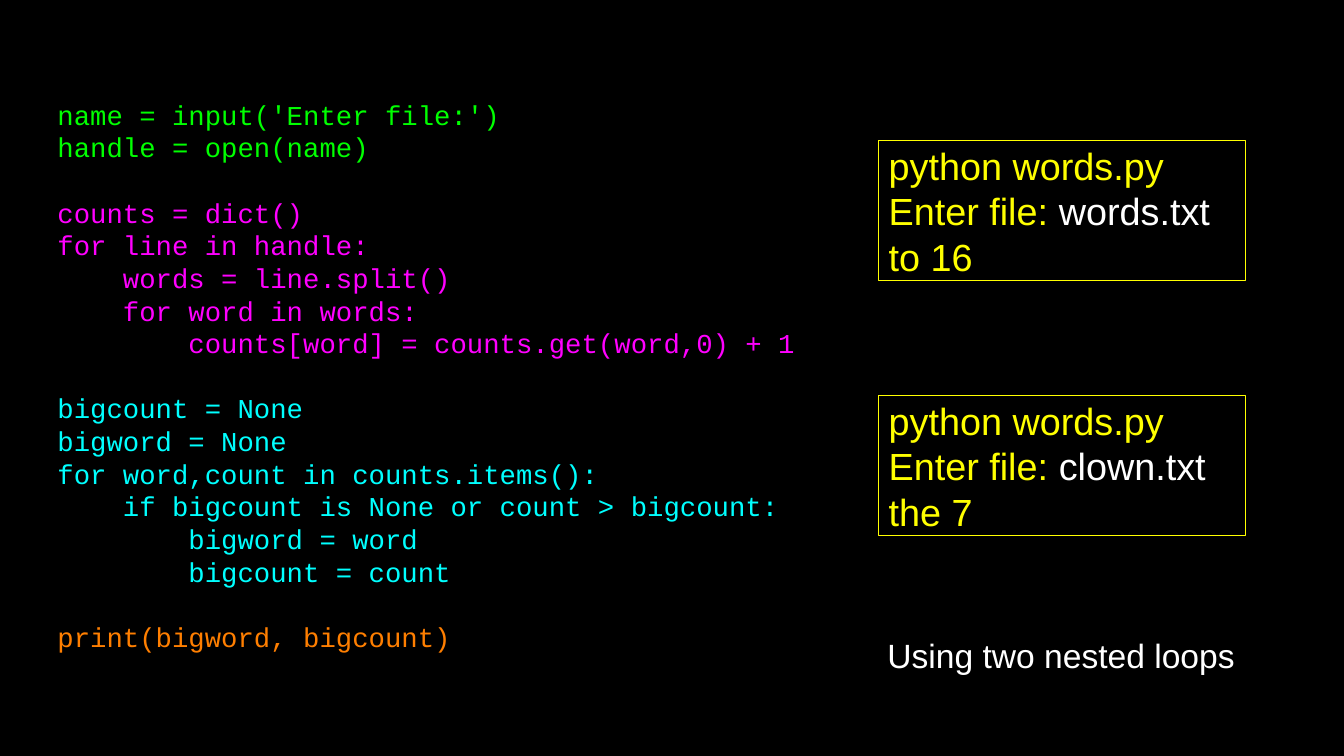
from pptx import Presentation
from pptx import util as u
from pptx.dml.color import RGBColor
from pptx.enum import shapes, text

BLACK, WHITE, YELLOW = "000000", "FFFFFF", "FFFF00"
CODE = [
    ("00FF00", ["name = input('Enter file:')",
                "handle = open(name)"]),
    ("FF00FF", ["counts = dict()",
                "for line in handle:",
                "    words = line.split()",
                "    for word in words:",
                "        counts[word] = counts.get(word,0) + 1"]),
    ("00FFFF", ["bigcount = None",
                "bigword = None",
                "for word,count in counts.items():",
                "    if bigcount is None or count > bigcount:",
                "        bigword = word",
                "        bigcount = count"]),
    ("FF7F00", ["print(bigword, bigcount)"]),
]
RUNS = [("words.txt", "to 16"), ("clown.txt", "the 7")]
CAPTION = "Using two nested loops"
CODE_PITCH, RUN_PITCH = u.Pt(31.1), u.Pt(43.3)
RUN_LEFT, RUN_TOP, RUN_STEP = 29.51, 4.72, 8.58


def rgb(value):
    """Return the colour for a hex string."""
    return RGBColor.from_string(value)


def add_run(p, words, font, size, color):
    """Append a formatted run to a paragraph."""
    r = p.add_run()
    r.text = words
    r.font.name, r.font.size = font, u.Pt(size)
    r.font.color.rgb = rgb(color)


def set_frame(tf, anchor, left=0):
    """Wrap a text frame, anchor it and clear all margins but the left."""
    tf.word_wrap = True
    tf.vertical_anchor = anchor
    tf.margin_left = u.Cm(left)
    tf.margin_top = tf.margin_right = tf.margin_bottom = 0


def next_paragraph(tf, first, pitch):
    """Return the first or a new left-aligned paragraph with fixed pitch."""
    p = tf.paragraphs[0] if first else tf.add_paragraph()
    p.alignment = text.PP_ALIGN.LEFT
    p.line_spacing = pitch
    return p


def add_code(s):
    """Add the program, one colour and one gap per section."""
    tf = s.shapes.add_textbox(u.Cm(1.93), u.Cm(2.39), u.Cm(25.63), u.Cm(20.45)).text_frame
    set_frame(tf, text.MSO_ANCHOR.MIDDLE)
    for section, (color, lines) in enumerate(CODE):
        for i, line in enumerate(lines):
            p = next_paragraph(tf, section == i == 0, CODE_PITCH)
            if section and i == 0:
                p.space_before = CODE_PITCH
            add_run(p, line, "Courier New", 26, color)


def add_sample_run(s, top, file_name, result):
    """Add an outlined box with one run of the program."""
    sp = s.shapes.add_shape(shapes.MSO_SHAPE.RECTANGLE, u.Cm(RUN_LEFT), u.Cm(top),
                            u.Cm(12.34), u.Cm(4.7))
    sp.shadow.inherit = False
    sp.fill.background()
    sp.line.color.rgb = rgb(YELLOW)
    sp.line.width = u.Pt(1)
    tf = sp.text_frame
    set_frame(tf, text.MSO_ANCHOR.MIDDLE, 0.35)
    lines = [[("python words.py", YELLOW)],
             [("Enter file: ", YELLOW), (file_name, WHITE)],
             [(result, YELLOW)]]
    for i, line in enumerate(lines):
        p = next_paragraph(tf, i == 0, RUN_PITCH)
        for words, color in line:
            add_run(p, words, "Arial", 36, color)


def main():
    """Build and save the slide."""
    prs = Presentation()
    prs.slide_width, prs.slide_height = u.Cm(45.16), u.Cm(25.4)
    s = prs.slides.add_slide(prs.slide_layouts[6])
    s.background.fill.solid()
    s.background.fill.fore_color.rgb = rgb(BLACK)
    add_code(s)
    for i, (file_name, result) in enumerate(RUNS):
        add_sample_run(s, RUN_TOP + i * RUN_STEP, file_name, result)
    tf = s.shapes.add_textbox(u.Cm(29.57), u.Cm(21.21), u.Cm(12.19), u.Cm(1.63)).text_frame
    tf.word_wrap = False
    add_run(tf.paragraphs[0], CAPTION, "Arial", 32, WHITE)


    prs.save("out.pptx")


if __name__ == "__main__":
    main()
